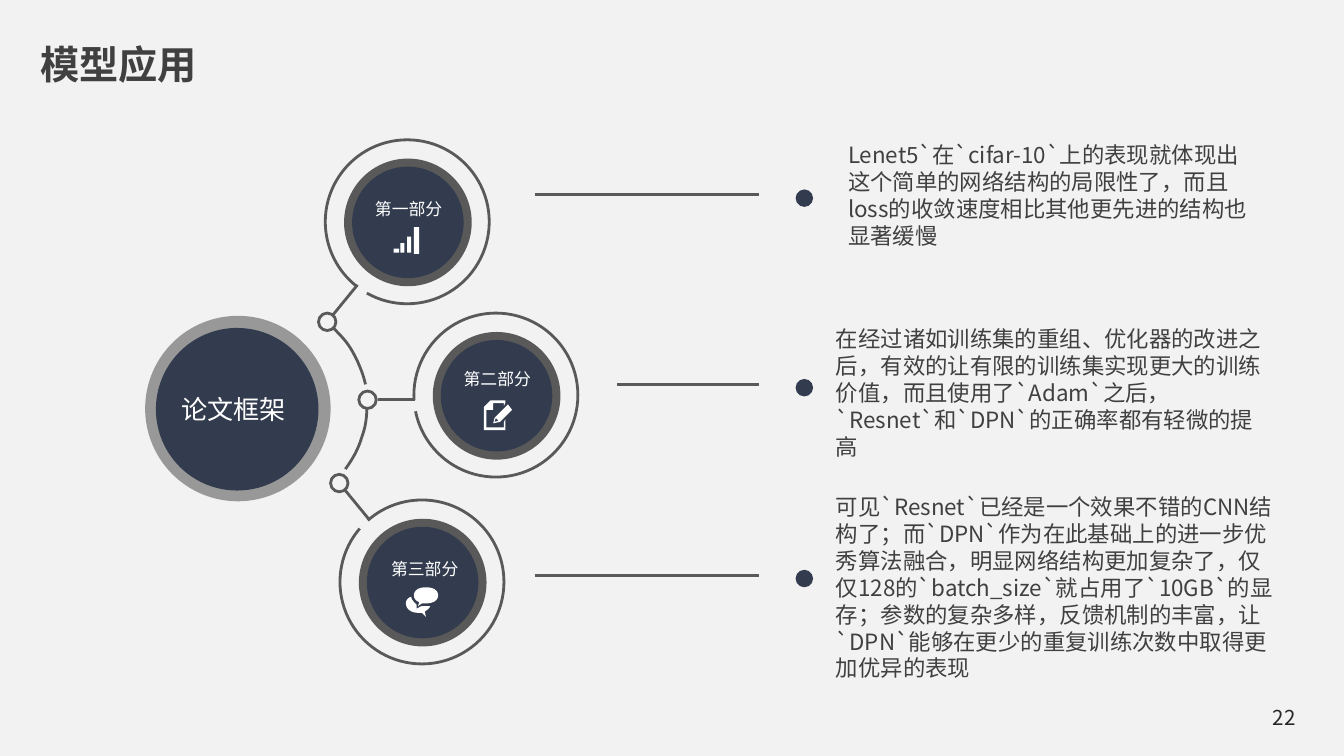
from pptx import Presentation
from pptx.dml.color import RGBColor
from pptx.enum.shapes import MSO_CONNECTOR, MSO_SHAPE
from pptx.enum.text import MSO_ANCHOR, MSO_AUTO_SIZE, PP_ALIGN
from pptx.oxml.ns import qn
from pptx.util import Pt
from lxml.etree import SubElement

PX = 9144
NAVY, GRAY, DARK, WHITE = "323C4E", "595959", "404040", "FFFFFF"
SC, JP = "Noto Sans CJK SC", "Noto Sans CJK JP"

PARTS = [
    {"label": "第一部分", "disc": (256, 118), "label_at": (264, 140), "arc": (127.6, 119.5),
     "node": (237, 233), "link": (266, 212, 248, 234), "rule": 398,
     "text_at": (631, 105, 298, 81),
     "text": "Lenet5`在`cifar-10`上的表现就体现出这个简单的网络结构的局限性了，而且loss的收敛速度"
             "相比其他更先进的结构也显著缓慢"},
    {"label": "第二部分", "disc": (322, 247), "label_at": (330, 267), "arc": (176.7, 168.6),
     "node": (267, 291), "link": (309, 297, 281, 297), "rule": 459,
     "text_at": (622, 242, 320, 81),
     "text": "在经过诸如训练集的重组、优化器的改进之后，有效的让有限的训练集实现更大的训练价值，"
             "而且使用了`Adam`之后，`Resnet`和`DPN`的正确率都有轻微的提高"},
    {"label": "第三部分", "disc": (267, 386), "label_at": (276, 408), "arc": (228.7, 220.6),
     "node": (246, 353), "link": (275, 387, 257, 365), "rule": 398,
     "text_at": (622, 367, 333, 141),
     "text": "可见`Resnet`已经是一个效果不错的CNN结构了；而`DPN`作为在此基础上的进一步优秀算法融合，"
             "明显网络结构更加复杂了，仅仅128的`batch_size`就占用了`10GB`的显存；参数的复杂多样，"
             "反馈机制的丰富，让`DPN`能够在更少的重复训练次数中取得更加优异的表现"},
]
BARS = [(293, 185, 4, 3), (298, 181, 3, 7), (303, 176, 3, 12), (308, 169, 4, 20)]
PAGE = [(375, 318), (362, 318), (362, 305), (367, 305), (367, 300), (375, 300), (375, 302),
        (376, 300), (376, 298), (365, 298), (360, 303), (360, 320), (376, 320), (376, 312),
        (375, 314)]
PENCIL = [(368, 311), (367, 315), (372, 314), (381, 305), (378, 301)]
PENCIL_TIP = [(371, 313), (368, 314), (369, 311)]
BACK_BUBBLE = [
    (320, 451), (319, 451), (318, 451), (316, 451), (315, 451), (315, 451), (314, 451),
    (313, 451), (310, 453), (310, 453), (310, 453), (310, 450), (310, 450),
    (308, 448), (306, 446), (306, 444), (303, 445), (302, 447), (302, 449),
    (302, 453), (306, 456), (311, 456), (312, 456), (313, 456), (314, 456),
    (317, 459), (317, 459), (317, 459), (316, 455), (316, 455), (316, 455),
    (318, 454), (320, 452), (320, 451)]
FRONT_BUBBLE = [
    (317, 437), (312, 437), (308, 439), (308, 443), (308, 445), (309, 447), (312, 448),
    (311, 451), (311, 451), (311, 451), (314, 449), (314, 449), (314, 449),
    (315, 449), (316, 449), (317, 449), (322, 449), (326, 447), (326, 443),
    (326, 439), (322, 437), (317, 437)]
UPPER_ARC = [(248, 244), (253, 249), (258, 254), (262, 261), (266, 268), (270, 277), (272, 286)]
LOWER_ARC = [(273, 304), (273, 311), (272, 318), (269, 326), (267, 333), (263, 341), (257, 349)]


def rgb(hex_color):
    return RGBColor.from_string(hex_color)


def px(*lengths):
    return [round(n * PX) for n in lengths]


def paint(sp, fill=None, line=None):
    sp.shadow.inherit = False
    if fill:
        sp.fill.solid()
        sp.fill.fore_color.rgb = rgb(fill)
    else:
        sp.fill.background()
    if line:
        sp.line.color.rgb = rgb(line)
        sp.line.width = Pt(1.5)
    else:
        sp.line.fill.background()
    return sp


def add_preset(s, kind, box, fill=None, line=None, adjust=()):
    sp = s.shapes.add_shape(kind, *px(*box))
    for i, value in enumerate(adjust):
        sp.adjustments[i] = value
    return paint(sp, fill, line)


def add_circle(s, x, y, size, fill=None, line=None):
    return add_preset(s, MSO_SHAPE.OVAL, (x, y, size, size), fill, line)


def add_core(s, x, y, size):
    add_preset(s, MSO_SHAPE.ROUNDED_RECTANGLE, (x, y, size, size), NAVY, adjust=[0.5])


def add_line(s, *ends):
    c = s.shapes.add_connector(MSO_CONNECTOR.STRAIGHT, *px(*ends))
    c.line.color.rgb = rgb(GRAY)
    c.line.width = Pt(1.5)
    SubElement(c._element.spPr, qn("a:effectLst"))


def bezier(points, steps=8):
    curve = [points[0]]
    for i in range(0, len(points) - 1, 3):
        a, b, c, d = points[i:i + 4]
        for n in range(1, steps + 1):
            t = n / steps
            u = 1 - t
            curve.append(tuple(
                u ** 3 * a[k] + 3 * u * u * t * b[k] + 3 * u * t * t * c[k] + t ** 3 * d[k]
                for k in (0, 1)))
    return curve


def add_outline(s, *contours, fill=None, line=None):
    first = px(*contours[0][0])
    builder = s.shapes.build_freeform(*first, scale=1.0)
    for i, contour in enumerate(contours):
        points = [px(*point) for point in contour]
        if i:
            builder.move_to(*points[0])
        builder.add_line_segments(points[1:], close=bool(fill))
    paint(builder.convert_to_shape(), fill, line)


def add_text(s, box, text, size, color, font=SC, insets=(0, 0), bold=None, frame=None, align=None):
    tf = s.shapes.add_textbox(*px(*box)).text_frame
    side, edge = px(*insets)
    layout = {"margin_left": side, "margin_right": side, "margin_top": edge,
              "margin_bottom": edge, "word_wrap": True,
              "auto_size": MSO_AUTO_SIZE.SHAPE_TO_FIT_TEXT}
    for name, value in {**layout, **(frame or {})}.items():
        setattr(tf, name, value)
    p = tf.paragraphs[0]
    p.alignment = align
    r = p.add_run()
    r.text = text
    for name, value in {"size": Pt(size), "name": font, "bold": bold}.items():
        setattr(r.font, name, value)
    r.font.color.rgb = rgb(color)
    SubElement(r._r.get_or_add_rPr(), qn("a:ea"), typeface=font)


def add_label(s, box, text, size):
    add_text(s, box, text, size, WHITE, insets=(15, 8), frame={"word_wrap": False})


def add_part(s, part):
    x, y = part["disc"]
    add_circle(s, x, y, 95, GRAY)
    add_core(s, x + 6, y + 6, 83)
    add_preset(s, MSO_SHAPE.ARC, (x - 14, y - 14, 122, 122), line=GRAY,
               adjust=[angle * 0.6 for angle in part["arc"]])
    add_circle(s, *part["node"], 13, line=GRAY)
    add_line(s, *part["link"])
    add_label(s, (*part["label_at"], 81, 30), part["label"], 9)


def add_description(s, part, y):
    add_line(s, part["rule"], y, 565, y)
    add_circle(s, 592, y - 4, 13, NAVY)
    add_text(s, part["text_at"], part["text"], 12, DARK, JP)


def add_hub(s):
    halo = add_circle(s, 108, 235, 138, DARK)
    color = halo._element.spPr.find(qn("a:solidFill"))[0]
    SubElement(color, qn("a:alpha"), val="50000")
    add_core(s, 116, 244, 121)
    add_label(s, (120, 285, 109, 39), "论文框架", 14)
    for arc in (UPPER_ARC, LOWER_ARC):
        add_outline(s, bezier(arc), line=GRAY)


def add_icons(s):
    for bar in BARS:
        add_preset(s, MSO_SHAPE.RECTANGLE, bar, WHITE)
    add_outline(s, PAGE, fill=WHITE)
    add_outline(s, PENCIL, PENCIL_TIP, fill=WHITE)
    for bubble in (BACK_BUBBLE, FRONT_BUBBLE):
        add_outline(s, bezier(bubble), fill=WHITE)


def main():
    prs = Presentation()
    prs.slide_width = 1000 * PX
    prs.slide_height = prs.slide_width * 9 // 16
    s = prs.slides.add_slide(prs.slide_layouts[6])
    s.background.fill.solid()
    s.background.fill.fore_color.rgb = rgb("F2F2F2")
    add_text(s, (23, 26, 229, 43), "模型应用", 21, DARK, insets=(7, 4), bold=True)
    add_hub(s)
    for i, part in enumerate(PARTS):
        add_part(s, part)
        add_description(s, part, 145 + i * 283 // 2)
    add_icons(s)
    add_text(s, (749, 519, 225, 30), "22", 11, "262626", insets=(10, 5), align=PP_ALIGN.RIGHT,
             frame={"auto_size": MSO_AUTO_SIZE.NONE, "vertical_anchor": MSO_ANCHOR.MIDDLE})
    prs.save("out.pptx")


if __name__ == "__main__":
    main()
